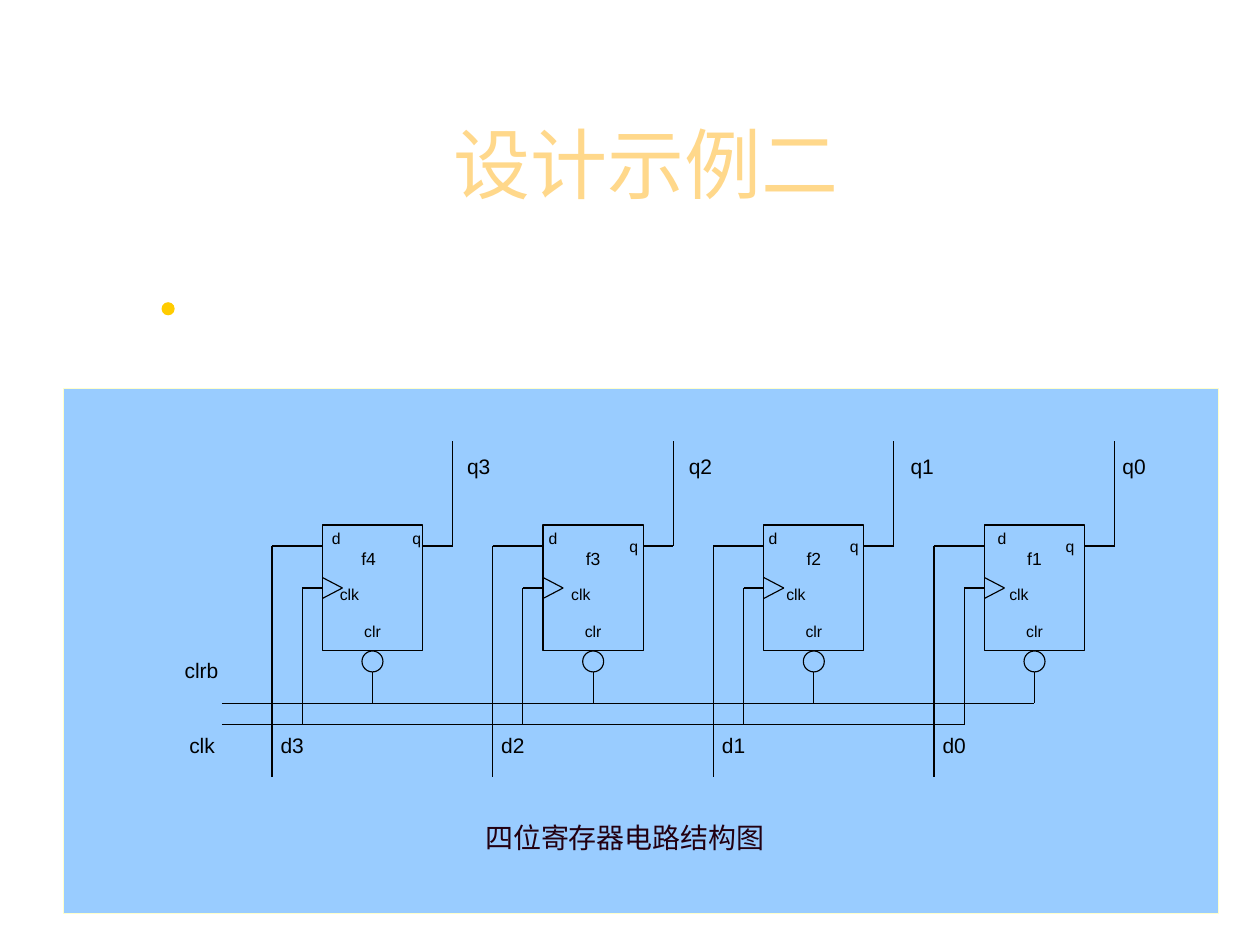
from dataclasses import dataclass

from pptx import Presentation
from pptx.dml.color import RGBColor as Rgb
from pptx.enum.shapes import MSO_CONNECTOR as Link, MSO_SHAPE as Preset
from pptx.enum.text import MSO_ANCHOR as Anchor, PP_ALIGN as Align
from pptx.oxml.ns import qn
from pptx.util import Pt
from lxml.etree import SubElement


@dataclass(frozen=True)
class Theme:
    title: str = "FFD88B"
    bullet: str = "FFCC00"
    panel: str = "99CCFF"
    panel_edge: str = "FFFFCC"
    ink: str = "000000"
    caption: str = "220011"
    latin: str = "Arial"
    chinese: str = "Noto Sans CJK SC"
    title_size: int = 44
    caption_size: int = 16
    signal_size: int = 12
    name_size: int = 10
    pin_size: int = 9
    wire: float = 0.65


@dataclass(frozen=True)
class Stage:
    name: str
    bit: int
    d_x: float
    q_x: float
    q_y: float
    clk_x: float
    output_x: float


STAGES = (
    Stage("f4", 3, 7.9, 54, 302.4, 15.5, 89.4),
    Stage("f3", 2, 5.7, 51.8, 306.7, 21.6, 90),
    Stage("f2", 1, 5.4, 51.8, 306.7, 18.4, 90.6),
    Stage("f1", 0, 10.1, 49, 306.7, 19.8, 85.6),
)
FIRST_LEFT, PITCH = 184.2, 126.1
BOX_TOP, BOX_WIDTH, BOX_HEIGHT = 300, 57.3, 72
MIDDLE = BOX_WIDTH / 2
DATA_Y, CLOCK_Y = 312, BOX_TOP + BOX_HEIGHT / 2
CLEAR_BUS, CLOCK_BUS, BUS_LEFT = 402, 414, 126.8
BUBBLE = 12


class SlideBuilder:
    """Draw styled elements on one slide, with lengths in points."""

    def __init__(self, slide, theme):
        self.slide = slide
        self.theme = theme
        self.canvas = slide.shapes

    def start_group(self):
        self.canvas = self.slide.shapes.add_group_shape().shapes

    def add_words(self, frame, text, size, color, font):
        paragraph = frame.paragraphs[0]
        paragraph.alignment = Align.CENTER
        run = paragraph.add_run()
        run.text = text
        run.font.size = Pt(size)
        run.font.name = font
        run.font.color.rgb = Rgb.from_string(color)
        SubElement(run.font._element, qn("a:ea")).set("typeface", font)

    def title(self, text):
        heading = self.slide.shapes.title
        heading.left, heading.top, heading.width, heading.height = map(Pt, (54, 48, 612, 90))
        frame = heading.text_frame
        frame.vertical_anchor = Anchor.MIDDLE
        frame.margin_left = Pt(25.5)
        self.add_words(frame, text, self.theme.title_size, self.theme.title, self.theme.chinese)

    def shape(self, preset, left, top, width, height, fill=None, edge=None, weight=0.75):
        item = self.canvas.add_shape(preset, *map(Pt, (left, top, width, height)))
        item.shadow.inherit = False
        if fill:
            item.fill.solid()
            item.fill.fore_color.rgb = Rgb.from_string(fill)
        else:
            item.fill.background()
        if edge:
            item.line.color.rgb = Rgb.from_string(edge)
            item.line.width = Pt(weight)
        else:
            item.line.fill.background()
        return item

    def outline(self, preset, left, top, width, height):
        return self.shape(preset, left, top, width, height, None, self.theme.ink, self.theme.wire)

    def wire(self, x1, y1, x2, y2):
        line = self.canvas.add_connector(Link.STRAIGHT, *map(Pt, (x1, y1, x2, y2)))
        line.line.color.rgb = Rgb.from_string(self.theme.ink)
        line.line.width = Pt(self.theme.wire)
        SubElement(line._element.spPr, qn("a:effectLst"))
        return line

    def label(self, text, center, top, size, width=31):
        box = self.canvas.add_textbox(*map(Pt, (center - width / 2, top, width, 18)))
        frame = box.text_frame
        frame.word_wrap = True
        frame.margin_left = frame.margin_right = frame.margin_top = frame.margin_bottom = 0
        self.add_words(frame, text, size, self.theme.ink, self.theme.latin)

    def caption(self, text):
        banner = self.shape(Preset.RECTANGLE, 198, 468, 318.2, 20.9, self.theme.panel)
        frame = banner.text_frame
        frame.word_wrap = True
        frame.vertical_anchor = Anchor.MIDDLE
        frame.margin_left = frame.margin_right = frame.margin_top = frame.margin_bottom = Pt(0.7)
        self.add_words(frame, text, self.theme.caption_size, self.theme.caption, self.theme.chinese)

    def flip_flop(self, stage, left):
        theme = self.theme
        center, right = left + MIDDLE, left + BOX_WIDTH
        data_x, clock_x, output_x = left - 28.8, left - 11.5, right + 17.1
        bottom = BOX_TOP + BOX_HEIGHT

        body = self.outline(Preset.RECTANGLE, left, BOX_TOP, BOX_WIDTH, BOX_HEIGHT)
        self.outline(Preset.OVAL, center - BUBBLE / 2, bottom, BUBBLE, BUBBLE)
        self.wire(clock_x, CLOCK_Y, left, CLOCK_Y).end_connect(body, 1)
        for ends in (
            (left, CLOCK_Y - 6, left + 11.5, CLOCK_Y),
            (left + 11.5, CLOCK_Y, left, CLOCK_Y + 6),
            (clock_x, CLOCK_Y, clock_x, CLOCK_BUS),
            (data_x, DATA_Y, left, DATA_Y),
            (data_x, DATA_Y, data_x, 444),
            (center, bottom + BUBBLE, center, CLEAR_BUS),
            (right, DATA_Y, output_x, DATA_Y),
            (output_x, 252, output_x, DATA_Y),
        ):
            self.wire(*ends)

        for text, x, top, size in (
            ("d", stage.d_x, 302.4, theme.pin_size),
            ("q", stage.q_x, stage.q_y, theme.pin_size),
            ("clk", stage.clk_x, 334.1, theme.pin_size),
            ("clr", MIDDLE, 355, theme.pin_size),
            (stage.name, 26.5 if stage.bit == 3 else MIDDLE, 313.2, theme.name_size),
            (f"q{stage.bit}", stage.output_x, 259.2, theme.signal_size),
            (f"d{stage.bit}", -17.2, 418.3, theme.signal_size),
        ):
            self.label(text, left + x, top, size)


def main():
    deck = Presentation()
    deck.slide_width, deck.slide_height = Pt(720), Pt(540)
    theme = Theme()
    page = SlideBuilder(deck.slides.add_slide(deck.slide_layouts[5]), theme)
    page.title("设计示例二")
    page.shape(Preset.OVAL, 92.3, 172.7, 7.5, 7.5, theme.bullet)
    page.shape(Preset.RECTANGLE, 36.3, 222, 660, 300, theme.panel, theme.panel_edge)

    page.start_group()
    for index, stage in enumerate(STAGES):
        page.flip_flop(stage, FIRST_LEFT + index * PITCH)
    last_left = FIRST_LEFT + (len(STAGES) - 1) * PITCH
    page.wire(BUS_LEFT, CLEAR_BUS, last_left + MIDDLE, CLEAR_BUS)
    page.wire(BUS_LEFT, CLOCK_BUS, last_left - 11.5, CLOCK_BUS)
    page.label("clrb", 115.2, 375.8, theme.signal_size, 39)
    page.label("clk", 115.5, 418.3, theme.signal_size)
    page.caption("四位寄存器电路结构图")
    deck.save("out.pptx")


if __name__ == "__main__":
    main()
